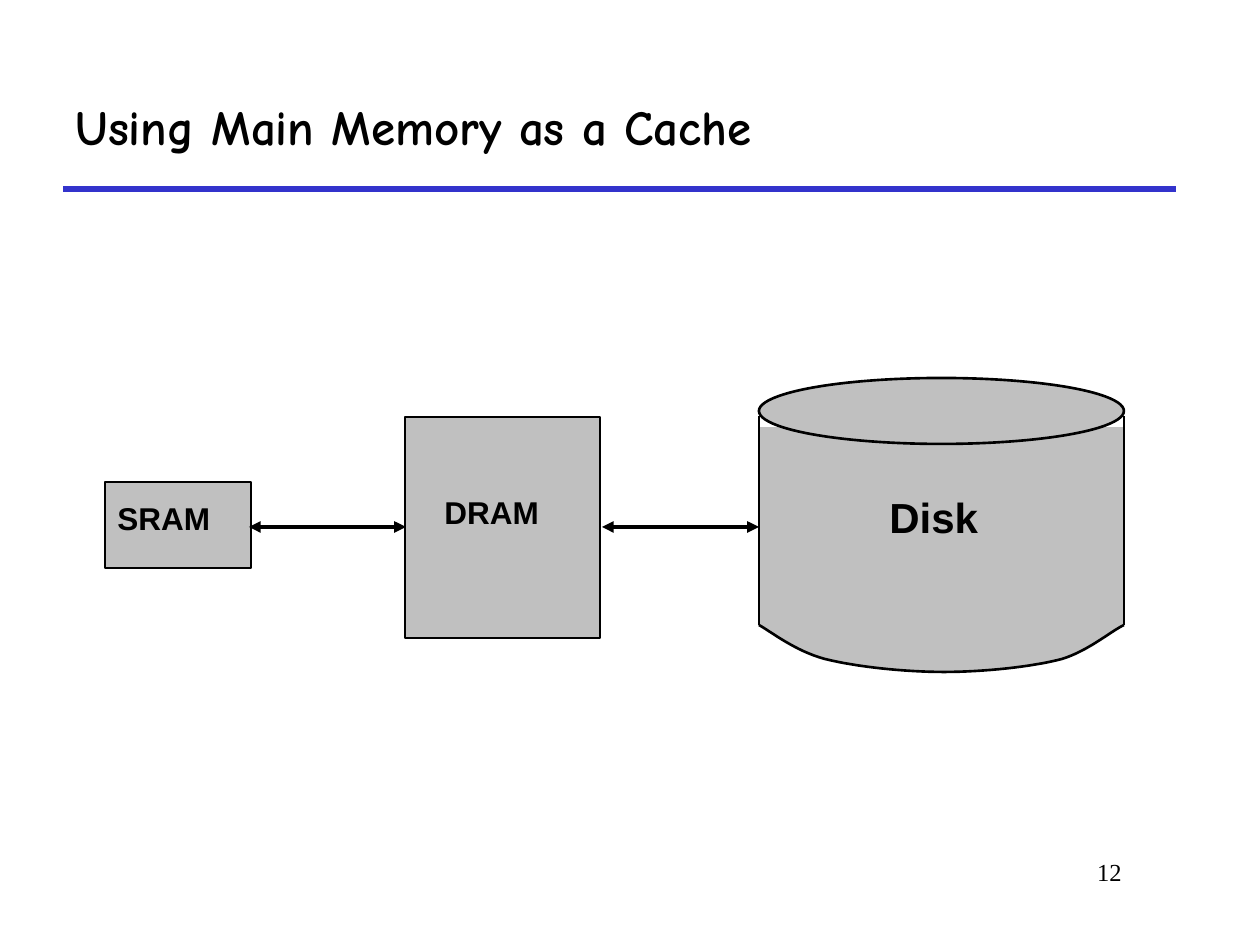
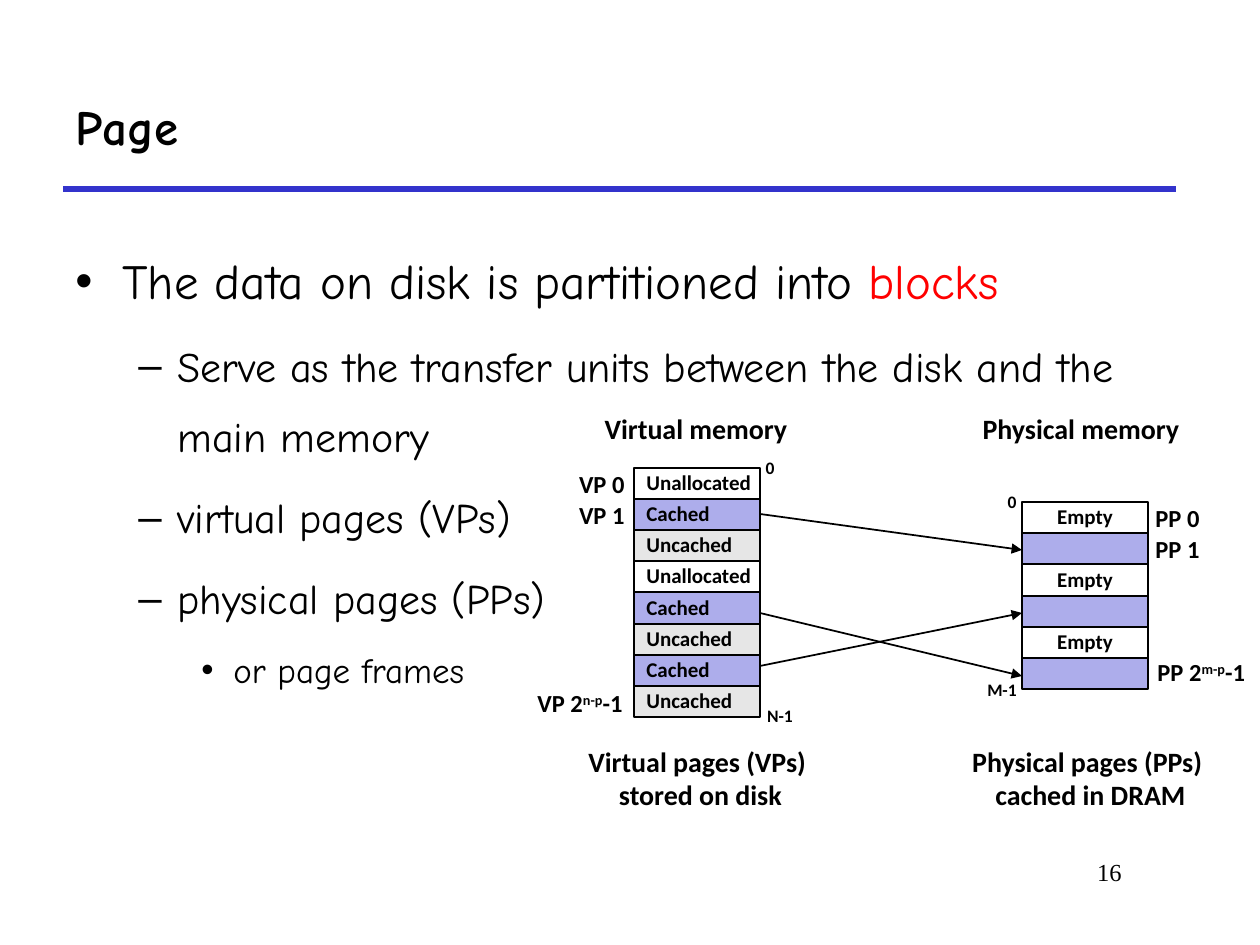
from dataclasses import dataclass
from typing import NamedTuple

from lxml import etree
from pptx import Presentation
from pptx.dml.color import RGBColor
from pptx.enum.shapes import MSO_CONNECTOR, MSO_SHAPE
from pptx.enum.text import MSO_ANCHOR, MSO_AUTO_SIZE, PP_ALIGN
from pptx.oxml.ns import qn
from pptx.util import Emu, Pt

PIXELS_PER_INCH = 126
EMU_PER_PIXEL = 914400 / PIXELS_PER_INCH

BLACK = RGBColor(0x00, 0x00, 0x00)
WHITE = RGBColor(0xFF, 0xFF, 0xFF)
RED = RGBColor(0xFF, 0x00, 0x00)
RULE_BLUE = RGBColor(0x33, 0x33, 0xCC)
DEVICE_GREY = RGBColor(0xC0, 0xC0, 0xC0)
CACHED_BLUE = RGBColor(0xAD, 0xAD, 0xEB)
UNCACHED_GREY = RGBColor(0xE6, 0xE6, 0xE6)

LEFT, CENTER, RIGHT = PP_ALIGN.LEFT, PP_ALIGN.CENTER, PP_ALIGN.RIGHT
TOP, MIDDLE = MSO_ANCHOR.TOP, MSO_ANCHOR.MIDDLE
RECTANGLE, OVAL = MSO_SHAPE.RECTANGLE, MSO_SHAPE.OVAL
STRAIGHT = MSO_CONNECTOR.STRAIGHT
FIT_TEXT = MSO_AUTO_SIZE.SHAPE_TO_FIT_TEXT

MARK = "^"  # encloses the part of a text that is raised or coloured
BULLET_FONT = "Arial"
OUTLINE = 1.5


class Box(NamedTuple):
    """A place on the slide, in pixels."""
    left: int
    top: int
    width: int
    height: int


@dataclass(frozen=True)
class TextStyle:
    """Look of a paragraph and the anchor of its box."""
    font: str
    size: int
    bold: bool = True
    align: PP_ALIGN = LEFT
    anchor: MSO_ANCHOR = TOP
    line_spacing: float = 1.0
    space_before: float = 0


class Label(NamedTuple):
    """A free text with its place and look."""
    text: str
    box: Box
    style: TextStyle


class BulletLevel(NamedTuple):
    """Bullet sign, indents in pixels and text look of an outline level."""
    sign: str
    margin: int
    hanging: int
    style: TextStyle


class PageState(NamedTuple):
    """Caption and fill of a memory page."""
    caption: str
    fill: RGBColor


TITLE = TextStyle("Comic Neue", 28, anchor=MIDDLE)
NUMBER = TextStyle("Times New Roman", 14, bold=False, align=RIGHT)
DEVICE = TextStyle("Arial", 18, line_spacing=0.9, space_before=6.8)
DISK = TextStyle("Arial", 24, line_spacing=0.9, space_before=9)
HEADING = TextStyle("Calibri", 16, align=CENTER, line_spacing=0.88, space_before=6)
CAPTION = TextStyle("Calibri", 16, align=CENTER, anchor=MIDDLE, line_spacing=0.98)
VIRTUAL_NAME = TextStyle("Calibri", 14, align=RIGHT, line_spacing=0.88, space_before=6)
PHYSICAL_NAME = TextStyle("Calibri", 14, align=CENTER, anchor=MIDDLE, line_spacing=0.98)
LAST_PHYSICAL = TextStyle("Calibri", 14, line_spacing=0.88, space_before=6)
ADDRESS = TextStyle("Calibri", 10, align=CENTER, anchor=MIDDLE, line_spacing=0.98)
VIRTUAL_PAGE = TextStyle("Calibri", 12, anchor=MIDDLE, line_spacing=0.98)
PHYSICAL_PAGE = TextStyle("Calibri", 12, align=CENTER, anchor=MIDDLE, line_spacing=0.98)


def outline_style(size: int, space_before: float) -> TextStyle:
    """Return the body text look at one size."""
    return TextStyle("Comic Neue", size, bold=False, line_spacing=1.4,
                     space_before=space_before)


LEVELS = [
    BulletLevel("•", 47, 47, outline_style(28, 7)),
    BulletLevel("–", 102, 39, outline_style(24, 6)),
    BulletLevel("•", 158, 32, outline_style(20, 5)),
]

UNALLOCATED = PageState("Unallocated", WHITE)
CACHED = PageState("Cached", CACHED_BLUE)
UNCACHED = PageState("Uncached", UNCACHED_GREY)
EMPTY = PageState("Empty", WHITE)
OCCUPIED = PageState("", CACHED_BLUE)


def px(pixels: float) -> Emu:
    """Turn pixels into EMU."""
    return Emu(round(pixels * EMU_PER_PIXEL))


def write_paragraph(para, text: str, style: TextStyle, marked_color=None) -> None:
    """Write a paragraph; marked parts are coloured, or raised without a colour."""
    para.alignment = style.align
    para.line_spacing = style.line_spacing
    para.space_before = Pt(style.space_before)
    parts = text.split(MARK)
    for index, part in enumerate(parts):
        if not part:
            continue
        run = para.add_run()
        run.text = part
        run.font.name = style.font
        run.font.size = Pt(style.size)
        run.font.bold = style.bold
        run.font.color.rgb = BLACK
        if index % 2 and marked_color is not None:
            run.font.color.rgb = marked_color
        elif index % 2:
            run.font._element.set("baseline", "30000")


def write_frame(frame, text: str, style: TextStyle, wrap: bool) -> None:
    """Fill a text frame, one paragraph for each line."""
    frame.word_wrap = wrap
    frame.vertical_anchor = style.anchor
    for index, line in enumerate(text.split("\n")):
        para = frame.add_paragraph() if index else frame.paragraphs[0]
        write_paragraph(para, line, style)


def add_text(page, label: Label, wrap: bool = False) -> None:
    """Add a text box; an unwrapped one grows with its text."""
    box = page.shapes.add_textbox(*map(px, label.box))
    write_frame(box.text_frame, label.text, label.style, wrap)
    if not wrap:
        box.text_frame.auto_size = FIT_TEXT


def paint(shape, fill: RGBColor, outlined: bool = True) -> None:
    """Give a shape its fill, its black outline and no shadow."""
    shape.shadow.inherit = False
    shape.fill.solid()
    shape.fill.fore_color.rgb = fill
    if outlined:
        shape.line.color.rgb = BLACK
        shape.line.width = Pt(OUTLINE)
    else:
        shape.line.fill.background()


def add_block(page, box: Box, fill: RGBColor, kind=RECTANGLE, outlined: bool = True):
    """Add a filled preset shape."""
    shape = page.shapes.add_shape(kind, *map(px, box))
    paint(shape, fill, outlined)
    return shape


def add_line(page, start: tuple[int, int], end: tuple[int, int], width: float = OUTLINE,
             color: RGBColor = BLACK, arrows: tuple[str, ...] = ()) -> None:
    """Add a straight line with arrowheads at the named ends."""
    line = page.shapes.add_connector(STRAIGHT, *map(px, start + end))
    line.line.color.rgb = color
    line.line.width = Pt(width)
    properties = line._element.spPr
    for arrow in arrows:
        etree.SubElement(properties.find(qn("a:ln")), qn(arrow), type="triangle")
    etree.SubElement(properties, qn("a:effectLst"))


def add_page(deck, title: str, number: int):
    """Add a slide with its title, blue rule and number."""
    page = deck.slides.add_slide(deck.slide_layouts[6])
    add_line(page, (63, 189), (1176, 189), 3, RULE_BLUE)
    add_text(page, Label(str(number), Box(955, 851, 179, 63), NUMBER), wrap=True)
    add_text(page, Label(title, Box(63, 63, 1113, 126), TITLE), wrap=True)
    return page


def curve_points(start, first, second, end, steps: int = 16) -> list[tuple[Emu, Emu]]:
    """Return points along a cubic curve, without its start."""
    points = []
    for step in range(1, steps + 1):
        t = step / steps
        weights = ((1 - t) ** 3, 3 * t * (1 - t) ** 2, 3 * t ** 2 * (1 - t), t ** 3)
        x, y = (sum(weight * value for weight, value in zip(weights, values))
                for values in zip(start, first, second, end))
        points.append((px(x), px(y)))
    return points


def add_disk(page, left: int, right: int) -> None:
    """Draw the disk as a cylinder with a curved base."""
    width, base = right - left, 625
    add_block(page, Box(left, 427, width, base - 427), DEVICE_GREY, outlined=False)
    add_block(page, Box(left, 378, width, 66), DEVICE_GREY, OVAL)
    for side in (left, right):
        add_line(page, (side, 416), (side, base))
    knots = [
        (left, base), (770, 631), (795, 651), (825, 659),
        (857, 667), (905, 672), (944, 672),
        (983, 672), (1032, 667), (1062, 659),
        (1088, 651), (1110, 632), (right, base),
    ]
    builder = page.shapes.build_freeform(px(left), px(base))
    for index in range(0, len(knots) - 1, 3):
        builder.add_line_segments(curve_points(*knots[index:index + 4]), close=False)
    paint(builder.convert_to_shape(), DEVICE_GREY)


def add_outline(page, box: Box, items: list[tuple[int, str]]) -> None:
    """Add the bulleted body text."""
    frame = page.shapes.add_textbox(*map(px, box)).text_frame
    frame.word_wrap = True
    for index, (level, text) in enumerate(items):
        para = frame.add_paragraph() if index else frame.paragraphs[0]
        bullet = LEVELS[level]
        para.level = level
        write_paragraph(para, text, bullet.style, RED)
        properties = para._p.get_or_add_pPr()
        properties.set("marL", str(px(bullet.margin)))
        properties.set("indent", str(-px(bullet.hanging)))
        color = etree.SubElement(properties, qn("a:buClr"))
        etree.SubElement(color, qn("a:srgbClr"), val=str(BLACK))
        etree.SubElement(properties, qn("a:buFont"), typeface=BULLET_FONT)
        etree.SubElement(properties, qn("a:buChar"), char=bullet.sign)


def add_stack(page, box: Box, states: list[PageState], style: TextStyle) -> None:
    """Draw equal memory pages that fill the box from top to bottom."""
    edges = [box.top + round(box.height * index / len(states))
             for index in range(len(states) + 1)]
    for state, top, bottom in zip(states, edges, edges[1:]):
        cell = add_block(page, Box(box.left, top, box.width, bottom - top), state.fill)
        if state.caption:
            write_frame(cell.text_frame, state.caption, style, wrap=False)


def build_cache_page(deck) -> None:
    """Build the chain from SRAM over DRAM to disk."""
    page = add_page(deck, "Using Main Memory as a Cache", 12)
    add_block(page, Box(105, 482, 146, 86), DEVICE_GREY)
    add_block(page, Box(405, 417, 195, 221), DEVICE_GREY)
    add_disk(page, 759, 1124)
    for start, end in ((249, 406), (602, 759)):
        add_line(page, (start, 527), (end, 527), 2.25, arrows=("a:headEnd", "a:tailEnd"))
    for label in (
        Label("SRAM", Box(105, 497, 147, 47), DEVICE),
        Label("DRAM", Box(432, 491, 147, 47), DEVICE),
        Label("Disk", Box(877, 491, 147, 58), DISK),
    ):
        add_text(page, label, wrap=True)


def build_paging_page(deck) -> None:
    """Build the outline and the mapping of virtual to physical pages."""
    page = add_page(deck, "Page", 16)
    add_outline(page, Box(63, 221, 1144, 609), [
        (0, "The data on disk is partitioned into ^blocks^"),
        (1, "Serve as the transfer units between the disk and the main memory"),
        (1, "virtual pages (VPs)"),
        (1, "physical pages (PPs)"),
        (2, "or page frames"),
    ])
    virtual, physical = Box(634, 468, 126, 249), Box(1022, 502, 126, 187)
    add_stack(page, virtual, [UNALLOCATED, CACHED, UNCACHED, UNALLOCATED,
                              CACHED, UNCACHED, CACHED, UNCACHED], VIRTUAL_PAGE)
    add_stack(page, physical, [EMPTY, OCCUPIED] * 3, PHYSICAL_PAGE)
    for start, end in ((514, 550), (613, 676), (666, 613)):
        add_line(page, (virtual.left + virtual.width, start), (physical.left, end), 1,
                 arrows=("a:tailEnd",))
    for label in (
        Label("Virtual memory", Box(592, 410, 208, 42), HEADING),
        Label("Physical memory", Box(970, 410, 222, 42), HEADING),
        Label("VP 0", Box(566, 467, 71, 38), VIRTUAL_NAME),
        Label("VP 1", Box(566, 498, 71, 38), VIRTUAL_NAME),
        Label("VP 2^n-p^-1", Box(524, 686, 111, 38), VIRTUAL_NAME),
        Label("PP 0", Box(1143, 498, 69, 42), PHYSICAL_NAME),
        Label("PP 1", Box(1143, 529, 69, 42), PHYSICAL_NAME),
        Label("PP 2^m-p^-1", Box(1145, 655, 113, 38), LAST_PHYSICAL),
        Label("0", Box(753, 451, 34, 34), ADDRESS),
        Label("N-1", Box(745, 699, 70, 34), ADDRESS),
        Label("0", Box(995, 485, 34, 34), ADDRESS),
        Label("M-1", Box(967, 673, 70, 34), ADDRESS),
        Label("Virtual pages (VPs) \nstored on disk", Box(576, 740, 249, 78), CAPTION),
        Label("Physical pages (PPs) \ncached in DRAM", Box(959, 740, 263, 78), CAPTION),
    ):
        add_text(page, label)


def main() -> None:
    """Build and save the deck."""
    deck = Presentation()
    deck.slide_width, deck.slide_height = px(1260), px(945)
    build_cache_page(deck)
    build_paging_page(deck)
    deck.save("out.pptx")


main()
